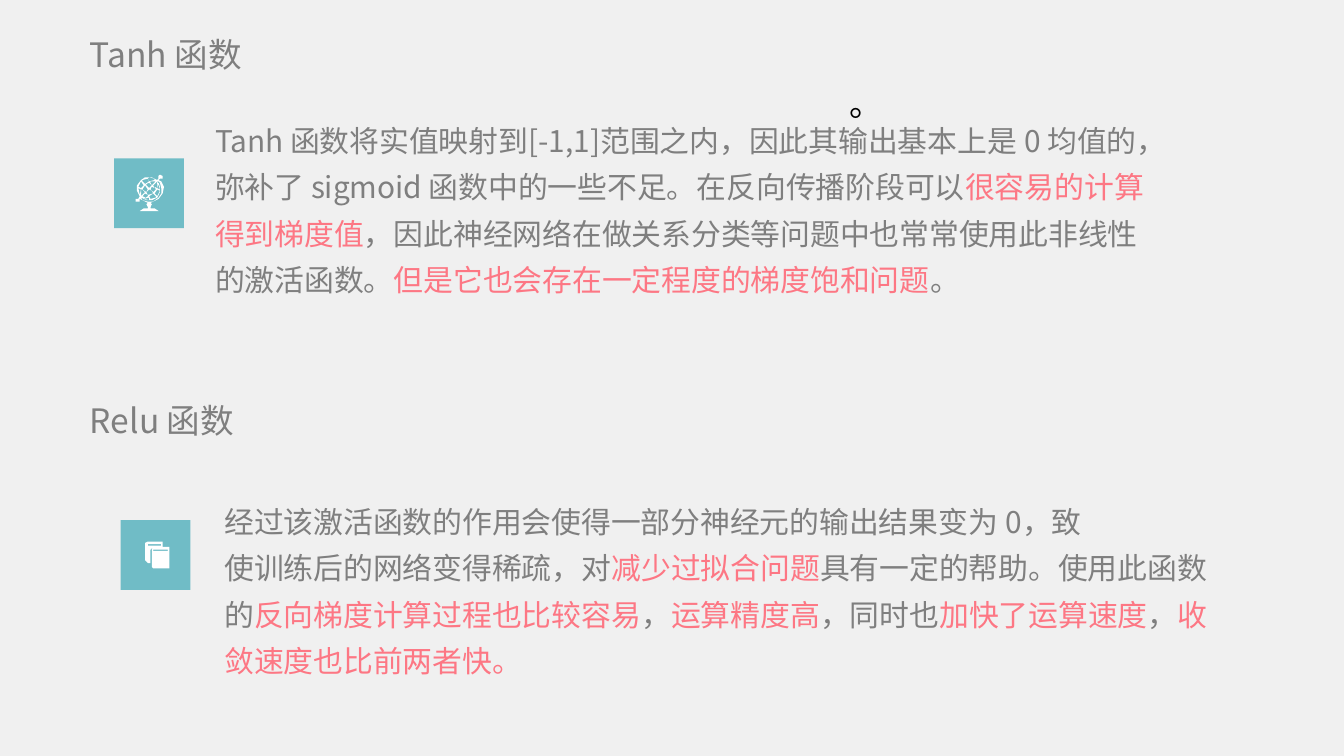
from pptx import Presentation
from pptx.dml.color import RGBColor
from pptx.enum.shapes import MSO_SHAPE
from pptx.enum.text import MSO_ANCHOR, MSO_AUTO_SIZE, PP_ALIGN
from pptx.oxml.ns import qn
from pptx.util import Pt

SANS = "Noto Sans CJK SC"
GREY, PINK, TEAL, WHITE = "7F7F7F", "FD7784", "70BCC6", "FFFFFF"
UNIT = Pt(0.72)  # outlines are given in hundredths of an inch

TANH = [[
    ("Tanh 函数将实值映射到[-1,1]范围之内，因此其输出基本上是 0 均值的，"
     "弥补了 sigmoid 函数中的一些不足。在反向传播阶段可以", GREY),
    ("很容易的计算得到梯度值", PINK),
    ("，因此神经网络在做关系分类等问题中也常常使用此非线性的激活函数。", GREY),
    ("但是它也会存在一定程度的梯度饱和问题", PINK),
    ("。", GREY),
]]
RELU = [
    [("经过该激活函数的作用会使得一部分神经元的输出结果变为 0，致", GREY)],
    [
        ("使训练后的网络变得稀疏，对", GREY),
        ("减少过拟合问题", PINK),
        ("具有一定的帮助。使用此函数的", GREY),
        ("反向梯度计算过程也比较容易", PINK),
        ("，", GREY),
        ("运算精度高", PINK),
        ("，同时也", GREY),
        ("加快了运算速度", PINK),
        ("，", GREY),
        ("收敛速度也比前两者快。", PINK),
    ],
]

# Each outline: the outer edge first, then further edges and holes.
GLOBE = [
    [(106, 149), (104, 148), (104, 150), (101, 150), (101, 148), (103, 148),
     (104, 146), (102, 142), (102, 138), (105, 134), (108, 132), (113, 132),
     (117, 134), (118, 133), (118, 131), (119, 130), (121, 131), (121, 133),
     (119, 133), (118, 134), (120, 135), (119, 136), (118, 135), (117, 135),
     (118, 137), (117, 137), (117, 135), (114, 138), (115, 140), (113, 139),
     (112, 141), (113, 142), (111, 141), (109, 143), (110, 145), (108, 144),
     (106, 146), (108, 147), (107, 148), (105, 147)],
    [(113, 138), (111, 136), (109, 137), (109, 138), (111, 140)],
    [(111, 135), (110, 133), (106, 134), (106, 135), (108, 137)],
    [(110, 133), (111, 135), (115, 134), (115, 133), (111, 132)],
    [(112, 136), (113, 138), (116, 135), (112, 135)],
    [(103, 139), (105, 140), (107, 138), (105, 135)],
    [(103, 140), (104, 145), (105, 141)],
    [(106, 141), (109, 143), (110, 141), (108, 138)],
    [(108, 143), (106, 141), (105, 141), (105, 146)],
]
STAND = [
    [(106, 149), (110, 150), (114, 150), (118, 147), (120, 144), (120, 140),
     (119, 136), (120, 135), (122, 139), (121, 144), (118, 148), (112, 151),
     (113, 152), (112, 154), (112, 155), (115, 155), (118, 157), (104, 157),
     (107, 155), (110, 155), (110, 154), (109, 152), (110, 151)],
    [(107, 148), (110, 146), (110, 145), (114, 144), (113, 142), (114, 143),
     (116, 141), (115, 139), (117, 140), (117, 137), (118, 136), (119, 139),
     (119, 143), (117, 147), (113, 149), (109, 149)],
    [(116, 146), (114, 144), (111, 146), (112, 148), (116, 147)],
    [(119, 142), (117, 141), (115, 144), (117, 146)],
    [(107, 148), (111, 149), (111, 147)],
    [(118, 137), (117, 140), (119, 141)],
]
PAGES = [
    [(112, 419), (110, 419), (108, 417), (108, 404), (110, 403), (121, 403),
     (121, 407), (114, 407), (112, 409)],
    [(126, 423), (114, 423), (113, 422), (113, 409), (114, 407), (126, 407)],
    [(110, 405), (120, 405), (120, 406), (110, 406)],
    [(114, 409), (125, 409), (125, 410), (114, 410)],
]


def color(code):
    return RGBColor.from_string(code)


def paint(shape, code):
    shape.fill.solid()
    shape.fill.fore_color.rgb = color(code)
    shape.line.fill.background()
    shape.shadow.inherit = False


def place(shape, box):
    shape.left, shape.top, shape.width, shape.height = map(Pt, box)
    return shape


def write(shape, paras, size=18, font=SANS, pitch=None, side=7.2,
          anchor=MSO_ANCHOR.TOP):
    """Fill a shape with paragraphs, each a list of (text, colour) runs."""
    frame = shape.text_frame
    frame.word_wrap = True
    frame.auto_size = MSO_AUTO_SIZE.NONE
    frame.vertical_anchor = anchor
    frame.margin_left = frame.margin_right = Pt(side)
    frame.margin_top = frame.margin_bottom = Pt(3.6)
    for i, runs in enumerate(paras):
        para = frame.add_paragraph() if i else frame.paragraphs[0]
        para.alignment = PP_ALIGN.LEFT
        para.space_before = Pt(0)
        if pitch:
            para.line_spacing = Pt(pitch)
        props = para._p.get_or_add_pPr()
        props.set("marL", "0")
        props.set("indent", "0")
        props.append(props.makeelement(qn("a:buNone"), {}))
        for text, code in runs:
            run = para.add_run()
            run.text = text
            run.font.size = Pt(size)
            run.font.name = font
            run.font.color.rgb = color(code)
            east = run.font._element
            east.append(east.makeelement(qn("a:ea"), {"typeface": font}))


def draw(shapes, edges):
    first, *rest = edges
    pen = shapes.build_freeform(*first[0], scale=UNIT)
    pen.add_line_segments(first[1:], close=True)
    for edge in rest:
        pen.move_to(*edge[0])
        pen.add_line_segments(edge[1:], close=True)
    paint(pen.convert_to_shape(), WHITE)


def icon(slide, left, top, parts):
    shapes = slide.shapes.add_group_shape().shapes
    tile = shapes.add_shape(MSO_SHAPE.RECTANGLE, Pt(left), Pt(top),
                            Pt(37.4), Pt(37.4))
    paint(tile, TEAL)
    for part in parts:
        draw(shapes, part)


def head(shape, text, top):
    place(shape, (48.2, top, 168, 30))
    write(shape, [[(text, GREY)]], side=0, anchor=MSO_ANCHOR.MIDDLE)


def main():
    deck = Presentation()
    deck.slide_width, deck.slide_height = Pt(720), Pt(405)
    slide = deck.slides.add_slide(deck.slide_layouts[3])
    slide.background.fill.solid()
    slide.background.fill.fore_color.rgb = color("F0F0F0")

    title, upper, lower = slide.placeholders
    icon(slide, 61.2, 84.8, [GLOBE, STAND])
    icon(slide, 64.6, 278.6, [PAGES])
    write(place(upper, (108, 56.2, 518.4, 131)), TANH, size=16, pitch=24.9)
    write(place(lower, (113, 260.4, 542.2, 108)), RELU, size=16, pitch=24.9)
    head(title, "Tanh 函数", 13.9)
    dot = slide.shapes.add_textbox(Pt(447.8), Pt(41), Pt(265), Pt(28.8))
    write(dot, [[("。", "000000")]], font="Calibri")
    head(slide.shapes.add_textbox(0, 0, 0, 0), "Relu 函数", 210.2)
    deck.save("out.pptx")


if __name__ == "__main__":
    main()
